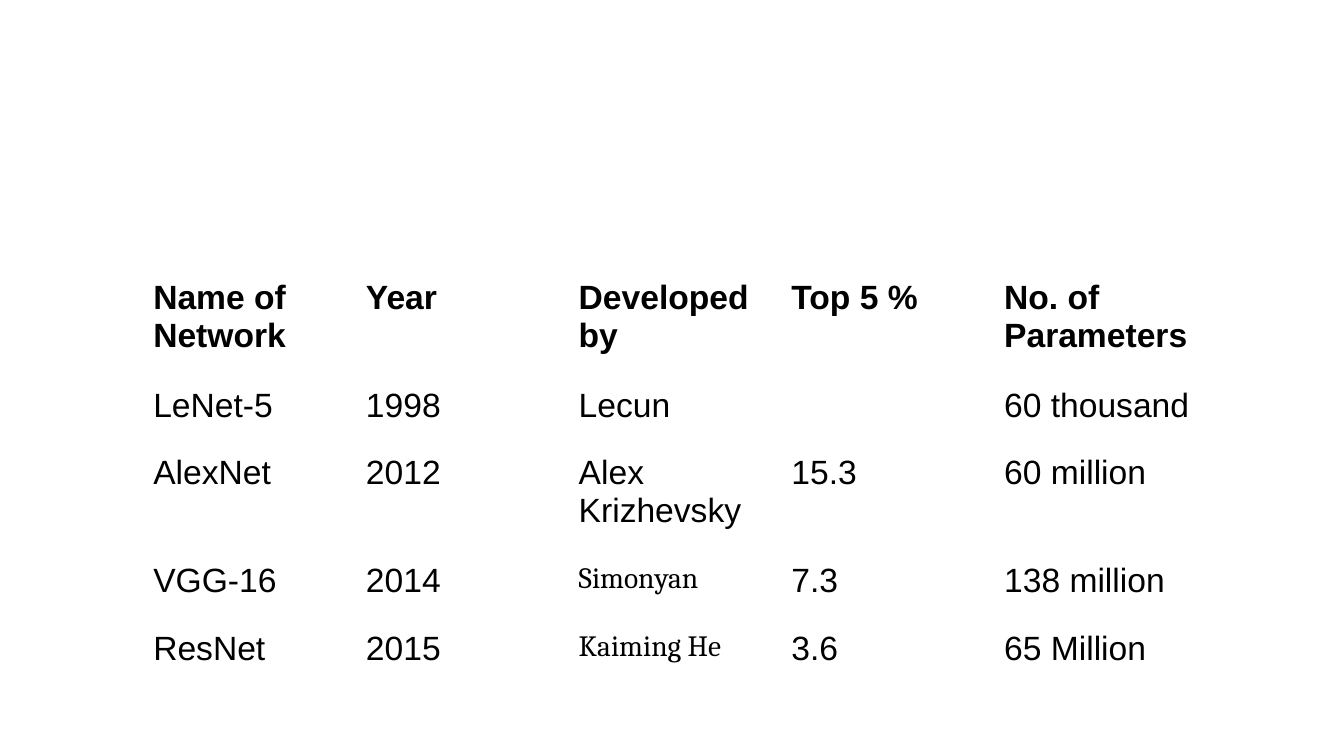
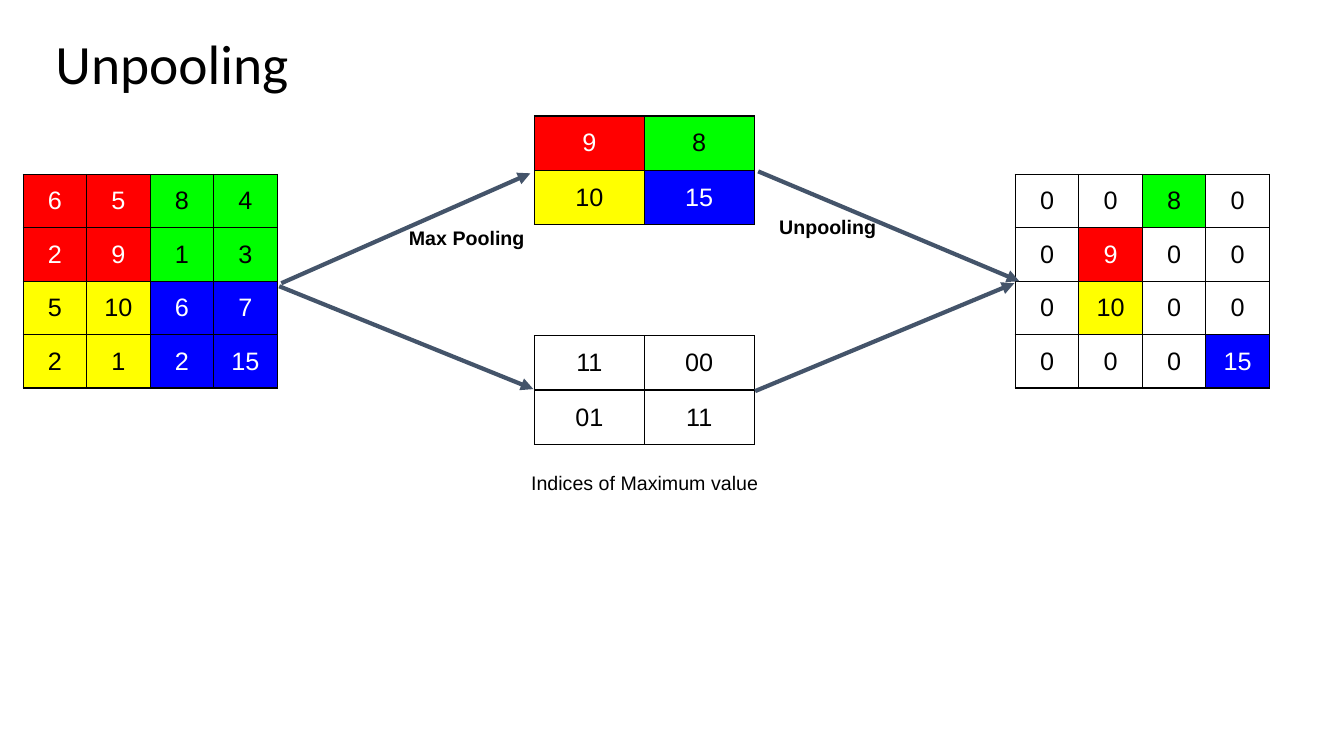
"""Build two slides on convolutional networks and unpooling."""
import lxml.etree
import pptx
import pptx.dml.color
import pptx.enum.shapes
import pptx.enum.text
import pptx.oxml
import pptx.oxml.ns
import pptx.util

Inches = pptx.util.Inches
RGBColor = pptx.dml.color.RGBColor
ALIGN = pptx.enum.text.PP_ALIGN
ANCHOR = pptx.enum.text.MSO_ANCHOR
qn = pptx.oxml.ns.qn

BLACK = RGBColor(0x00, 0x00, 0x00)
WHITE = RGBColor(0xFF, 0xFF, 0xFF)
RED = RGBColor(0xFF, 0x00, 0x00)
GREEN = RGBColor(0x00, 0xFF, 0x00)
YELLOW = RGBColor(0xFF, 0xFF, 0x00)
BLUE = RGBColor(0x00, 0x00, 0xFF)
SLATE = RGBColor(0x44, 0x54, 0x6A)
FILLS = {"R": RED, "G": GREEN, "Y": YELLOW, "B": BLUE, "W": WHITE}

NETWORKS = [
    ["Name of Network", "Year", "Developed by", "Top 5 %", "No. of Parameters"],
    ["LeNet-5", "1998", "Lecun", "", "60 thousand"],
    ["AlexNet", "2012", "Alex Krizhevsky", "15.3", "60 million"],
    ["VGG-16", "2014", "Simonyan", "7.3", "138 million"],
    ["ResNet", "2015", "Kaiming He", "3.6", "65 Million"],
]
CAMBRIA_NAMES = {"Simonyan", "Kaiming He"}


def write(tf, text, size=18, font="Arial", color=BLACK, bold=False,
          align=ALIGN.LEFT, spacing=None):
    p = tf.paragraphs[0]
    p.alignment = align
    p.line_spacing = spacing
    if text:
        r = p.add_run()
        r.text = text
        r.font.size = pptx.util.Pt(size)
        r.font.name = font
        r.font.bold = bold
        r.font.color.rgb = color


def inset(box, x, y):
    box.margin_left = box.margin_right = Inches(x)
    box.margin_top = box.margin_bottom = Inches(y)


class Deck:
    def __init__(self):
        self.prs = pptx.Presentation()
        self.prs.slide_width = Inches(13.33)
        self.prs.slide_height = Inches(7.5)
        self.s = None

    def slide(self, title=None):
        self.s = self.prs.slides.add_slide(self.prs.slide_layouts[5 if title else 6])
        if title:
            sp = self.s.shapes.title
            sp.left, sp.top = Inches(0.45), Inches(0.26)
            sp.width, sp.height = Inches(12.42), Inches(0.83)
            tf = sp.text_frame
            tf.auto_size = pptx.enum.text.MSO_AUTO_SIZE.NONE
            tf.vertical_anchor = ANCHOR.TOP
            inset(tf, 0.1, 0.1)
            write(tf, title, size=39.6, font="Calibri", spacing=0.9)

    def table(self, x, y, col_width, row_heights, cols):
        frame = self.s.shapes.add_table(
            len(row_heights), cols, Inches(x), Inches(y),
            Inches(col_width * cols), Inches(sum(row_heights)))
        table = frame.table
        table.first_row = table.horz_banding = False
        for col in table.columns:
            col.width = Inches(col_width)
        for row, height in zip(table.rows, row_heights):
            row.height = Inches(height)
        return table

    def text_table(self, x, y, col_width, row_heights, rows):
        table = self.table(x, y, col_width, row_heights, len(rows[0]))
        for i, row in enumerate(rows):
            for j, text in enumerate(row):
                cell = table.cell(i, j)
                cell.fill.background()
                inset(cell, 0.13, 0.13)
                cambria = text in CAMBRIA_NAMES
                write(cell.text_frame, text, size=21 if cambria else 24,
                      font="Cambria" if cambria else "Arial", bold=i == 0)

    def grid(self, x, y, col_width, row_height, values, fills):
        rows = [line.split() for line in values]
        table = self.table(x, y, col_width, [row_height] * len(rows), len(rows[0]))
        for i, row in enumerate(rows):
            for j, text in enumerate(row):
                cell = table.cell(i, j)
                fill = FILLS[fills[i][j]]
                cell.fill.solid()
                cell.fill.fore_color.rgb = fill
                cell.vertical_anchor = ANCHOR.MIDDLE
                inset(cell, 0.1, 0.05)
                write(cell.text_frame, text, align=ALIGN.CENTER,
                      color=WHITE if fill in (RED, BLUE) else BLACK)
                self.borders(cell)

    def borders(self, cell):
        tcPr = cell._tc.get_or_add_tcPr()
        for k, side in enumerate(("lnL", "lnR", "lnT", "lnB")):
            ln = lxml.etree.Element(qn("a:" + side), w=str(pptx.util.Pt(1)))
            fill = lxml.etree.SubElement(ln, qn("a:solidFill"))
            lxml.etree.SubElement(fill, qn("a:srgbClr"), val=str(BLACK))
            tcPr.insert(k, ln)

    def label(self, x, y, width, text, bold=False):
        tf = self.s.shapes.add_textbox(
            Inches(x), Inches(y), Inches(width), Inches(0.47)).text_frame
        tf.word_wrap = True
        inset(tf, 0.1, 0.1)
        write(tf, text, size=14, bold=bold, align=ALIGN.CENTER)

    def arrow(self, x1, y1, x2, y2):
        line = self.s.shapes.add_connector(
            pptx.enum.shapes.MSO_CONNECTOR.STRAIGHT,
            Inches(x1), Inches(y1), Inches(x2), Inches(y2))
        line.line.color.rgb = SLATE
        line.line.width = pptx.util.Pt(3)
        spPr = line._element.spPr
        lxml.etree.SubElement(spPr.find(qn("a:ln")), qn("a:tailEnd"), type="triangle")
        lxml.etree.SubElement(spPr, qn("a:effectLst"))


def main():
    deck = Deck()
    deck.slide()
    deck.text_table(1.39, 2.64, 2.11, [1.07, 0.67, 1.07, 0.67, 0.67], NETWORKS)

    deck.slide("Unpooling")
    deck.grid(0.23, 1.73, 0.63, 0.53, ["6 5 8 4", "2 9 1 3", "5 10 6 7", "2 1 2 15"],
              ["RRGG", "RRGG", "YYBB", "YYBB"])
    deck.grid(5.3, 1.15, 1.09, 0.54, ["9 8", "10 15"], ["RG", "YB"])
    deck.grid(5.3, 3.33, 1.09, 0.54, ["11 00", "01 11"], ["WW", "WW"])
    deck.grid(10.07, 1.73, 0.63, 0.53, ["0 0 8 0", "0 9 0 0", "0 10 0 0", "0 0 0 15"],
              ["WWGW", "WRWW", "WYWW", "WWWB"])
    deck.arrow(2.79, 2.81, 5.26, 1.72)
    deck.arrow(7.52, 1.7, 10.11, 2.79)
    deck.arrow(2.77, 2.84, 5.29, 3.86)
    deck.arrow(7.49, 3.88, 10.06, 2.81)
    deck.label(3.78, 2.14, 1.7, "Max Pooling", bold=True)
    deck.label(7.36, 2.03, 1.7, "Unpooling", bold=True)
    deck.label(5.11, 4.57, 2.57, "Indices of Maximum value")
    deck.prs.save("out.pptx")


if __name__ == "__main__":
    main()
